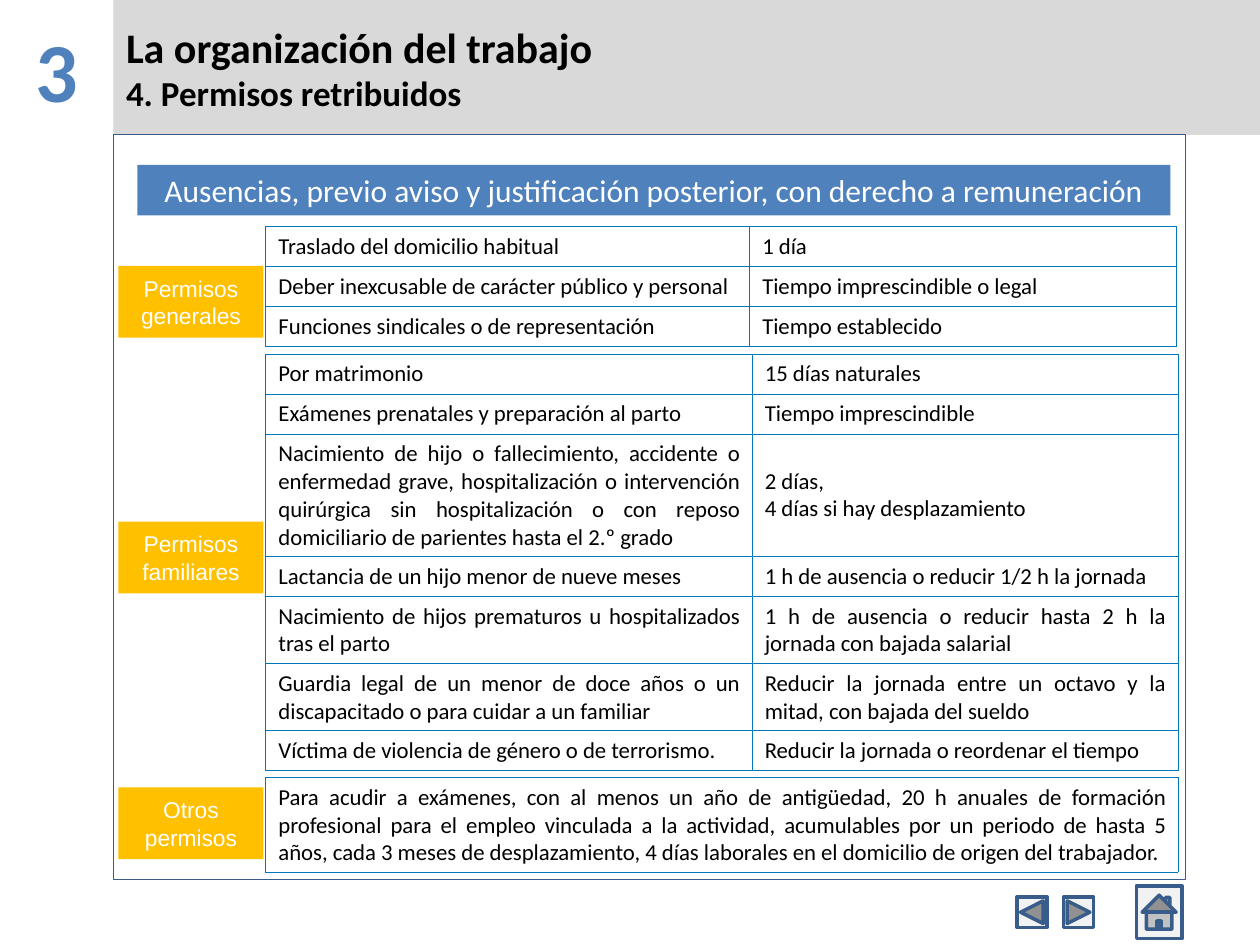
from dataclasses import dataclass

import lxml.etree
import pptx
import pptx.dml.color
import pptx.enum.shapes
import pptx.enum.text
import pptx.oxml.ns
import pptx.util

SHAPE = pptx.enum.shapes.MSO_SHAPE
ALIGN = pptx.enum.text.PP_ALIGN
ANCHOR = pptx.enum.text.MSO_ANCHOR
COLUMNS, ROWS = 100, 75
UNIT = pptx.util.Inches(0.1)


@dataclass(frozen=True)
class Theme:
    body: str = "Calibri"
    label: str = "Arial"
    black: str = "000000"
    white: str = "FFFFFF"
    band: str = "D9D9D9"
    accent: str = "4F81BD"
    outline: str = "385D8A"
    button: str = "F2F2F2"
    tag: str = "FFC000"
    grid: str = "0077BD"
    number_size: int = 48
    title_size: int = 24
    subtitle_size: int = 20
    banner_size: int = 18
    text_size: int = 13


THEME = Theme()


@dataclass(frozen=True)
class Box:
    left: float
    top: float
    width: float
    height: float

    def lengths(self):
        return [round(side * UNIT) for side in (self.left, self.top, self.width, self.height)]


SECTIONS = [
    ("Permisos generales", 21.1, Box(21.1, 18, 72.3, 9.5), [38.4, 33.9], [
        (3.17, "Traslado del domicilio habitual", "1 día"),
        (3.17, "Deber inexcusable de carácter público y personal", "Tiempo imprescindible o legal"),
        (3.17, "Funciones sindicales o de representación", "Tiempo establecido"),
    ]),
    ("Permisos familiares", 41.4, Box(21.1, 28.1, 72.4, 33), [38.6, 33.8], [
        (3.17, "Por matrimonio", "15 días naturales"),
        (3.17, "Exámenes prenatales y preparación al parto", "Tiempo imprescindible"),
        (9.7, "Nacimiento de hijo o fallecimiento, accidente o enfermedad grave, hospitalización o "
              "intervención quirúrgica sin hospitalización o con reposo domiciliario de parientes "
              "hasta el 2.º grado", "2 días,\n4 días si hay desplazamiento"),
        (3.17, "Lactancia de un hijo menor de nueve meses", "1 h de ausencia o reducir 1/2 h la jornada"),
        (5.33, "Nacimiento de hijos prematuros u hospitalizados tras el parto",
         "1 h de ausencia o reducir hasta 2 h la jornada con bajada salarial"),
        (5.33, "Guardia legal de un menor de doce años o un discapacitado o para cuidar a un familiar",
         "Reducir la jornada entre un octavo y la mitad, con bajada del sueldo"),
        (3.17, "Víctima de violencia de género o de terrorismo.", "Reducir la jornada o reordenar el tiempo"),
    ]),
    ("Otros permisos", 62.5, Box(21.1, 61.7, 72.4, 7.5), [72.4], [
        (7.5, "Para acudir a exámenes, con al menos un año de antigüedad, 20 h anuales de formación "
              "profesional para el empleo vinculada a la actividad, acumulables por un periodo de "
              "hasta 5 años, cada 3 meses de desplazamiento, 4 días laborales en el domicilio de "
              "origen del trabajador."),
    ]),
]


def colour(value):
    return pptx.dml.color.RGBColor.from_string(value)


def write(frame, text, sizes, ink, align, font=THEME.body, bold=False):
    frame.text = text
    for index, para in enumerate(frame.paragraphs):
        para.alignment = align
        for span in para.runs:
            span.font.name = font
            span.font.size = pptx.util.Pt(sizes[min(index, len(sizes) - 1)])
            span.font.bold = bold
            span.font.color.rgb = colour(ink)


def add_block(page, box, kind=SHAPE.RECTANGLE, fill=None, line=None, weight=0.75):
    shape = page.shapes.add_shape(kind, *box.lengths())
    shape.shadow.inherit = False
    if fill:
        shape.fill.solid()
        shape.fill.fore_color.rgb = colour(fill)
    else:
        shape.fill.background()
    if line:
        shape.line.color.rgb = colour(line)
        shape.line.width = pptx.util.Pt(weight)
    else:
        shape.line.fill.background()
    return shape


def add_header(page, box):
    title = page.shapes.title
    title.left, title.top, title.width, title.height = box.lengths()
    title.fill.solid()
    title.fill.fore_color.rgb = colour(THEME.band)
    frame = title.text_frame
    frame.auto_size = pptx.enum.text.MSO_AUTO_SIZE.NONE
    frame.vertical_anchor = ANCHOR.MIDDLE
    write(frame, "La organización del trabajo\n4. Permisos retribuidos",
          [THEME.title_size, THEME.subtitle_size], THEME.black, ALIGN.LEFT, bold=True)


def add_number(page, box):
    frame = page.shapes.add_textbox(*box.lengths()).text_frame
    frame.word_wrap = True
    frame.margin_top = round(1.5 * UNIT)
    write(frame, "3", [THEME.number_size], THEME.accent, ALIGN.CENTER, bold=True)


def add_banner(page, box):
    frame = add_block(page, box, fill=THEME.accent).text_frame
    frame.vertical_anchor = ANCHOR.TOP
    write(frame, "Ausencias, previo aviso y justificación posterior, con derecho a remuneración",
          [THEME.banner_size], THEME.white, ALIGN.CENTER)


def add_tag(page, box, text):
    frame = add_block(page, box, fill=THEME.tag).text_frame
    frame.vertical_anchor = ANCHOR.MIDDLE
    frame.margin_left = frame.margin_right = round(0.6 * UNIT)
    frame.margin_top = frame.margin_bottom = 0
    write(frame, text, [THEME.text_size], THEME.white, ALIGN.CENTER, THEME.label)


def draw_borders(cell):
    qn = pptx.oxml.ns.qn
    properties = cell._tc.get_or_add_tcPr()
    for index, side in enumerate(("a:lnL", "a:lnR", "a:lnT", "a:lnB")):
        line = lxml.etree.Element(qn(side), w=str(pptx.util.Pt(0.45)))
        fill = lxml.etree.SubElement(line, qn("a:solidFill"))
        lxml.etree.SubElement(fill, qn("a:srgbClr"), val=THEME.grid)
        properties.insert(index, line)


def add_permits(page, box, widths, rows):
    table = page.shapes.add_table(len(rows), len(widths), *box.lengths()).table
    table.first_row = table.horz_banding = False
    for column, width in zip(table.columns, widths):
        column.width = round(width * UNIT)
    for row, (height, *texts) in zip(table.rows, rows):
        row.height = round(height * UNIT)
        for cell, text in zip(row.cells, texts):
            cell.fill.background()
            cell.vertical_anchor = ANCHOR.MIDDLE
            write(cell.text_frame, text, [THEME.text_size], THEME.black, ALIGN.JUSTIFY)
            draw_borders(cell)


def add_navigation(page, box):
    small = 2.4
    middle = box.top + (box.height - small) / 2
    buttons = [
        (SHAPE.ACTION_BUTTON_BACK_OR_PREVIOUS, Box(box.left, middle, small, small)),
        (SHAPE.ACTION_BUTTON_FORWARD_OR_NEXT, Box(box.left + 3.7, middle, small, small)),
        (SHAPE.ACTION_BUTTON_HOME, Box(box.left + box.width - 3.6, box.top, 3.6, box.height)),
    ]
    for kind, place in buttons:
        add_block(page, place, kind, THEME.button, THEME.outline, 2)


def main():
    deck = pptx.Presentation()
    deck.slide_width, deck.slide_height = COLUMNS * UNIT, ROWS * UNIT
    page = deck.slides.add_slide(deck.slide_layouts[5])
    add_header(page, Box(9, 0, 91, 10.7))
    add_number(page, Box(0, 0, 9, 10))
    add_block(page, Box(9, 10.7, 85.1, 59.1), line=THEME.outline)
    add_banner(page, Box(10.9, 13.1, 82, 4))
    for label, label_top, box, widths, rows in SECTIONS:
        add_tag(page, Box(9.4, label_top, 11.5, 5.7), label)
        add_permits(page, box, widths, rows)
    add_navigation(page, Box(80.7, 70.3, 13.1, 4.2))
    deck.save("out.pptx")


if __name__ == "__main__":
    main()
